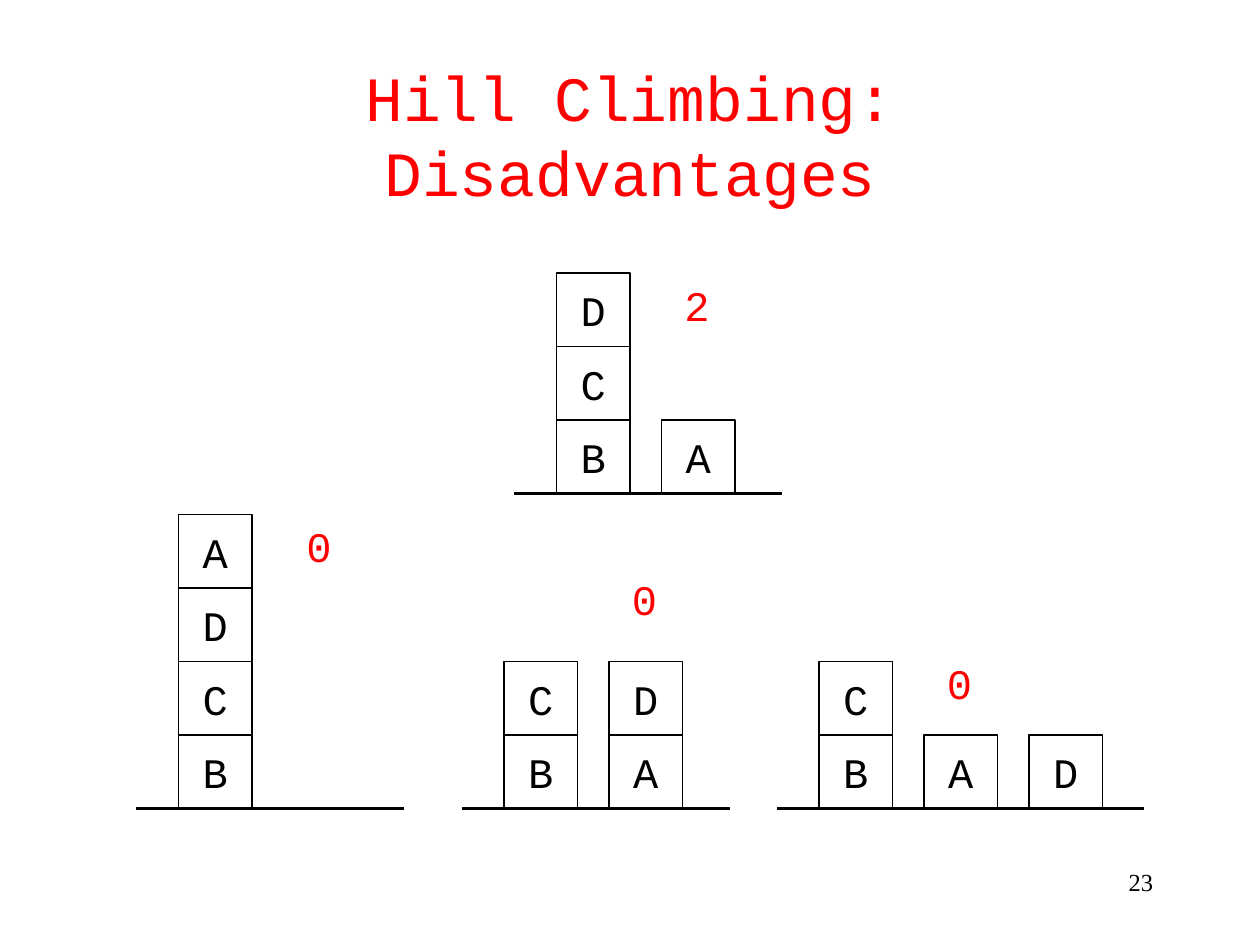
from dataclasses import dataclass

from pptx import Presentation
from pptx.enum.shapes import MSO_CONNECTOR as Link, MSO_SHAPE as Shape
from pptx.enum.text import MSO_ANCHOR as Anchor, PP_ALIGN as Align
from pptx.oxml.ns import qn
from pptx.slide import Slide
from pptx.text.text import TextFrame
from pptx.util import Inches, Pt
from pptx.dml.color import RGBColor as Rgb

HUES = {"ink": "000000", "score": "FF0000"}
MONO, SERIF = "Courier New", "Times New Roman"
COLS, ROWS = 120, 90  # slide grid, one cell is 1/12 inch
WIDE, HIGH = Inches(10), Inches(7.5)
SIDE, PITCH, EDGE = 7, 10, 4  # block side, stack step, table overhang


@dataclass
class State:
    """Stacks are read from the table up; spot is the cell of the score."""
    left: float
    base: float
    span: float
    stacks: tuple[str, ...]
    score: str
    spot: tuple[float, float]


STATES = (
    State(17, 77, 25.5, ("BCDA",), "0", (28, 49)),
    State(48, 77, 25.5, ("BC", "AD"), "0", (59, 54)),
    State(78, 77, 35, ("BC", "A", "D"), "0", (89, 62)),
    State(53, 47, 25.5, ("BCD", "A"), "2", (64, 26)),
)


def x(col: float) -> int:
    return round(WIDE * col / COLS)


def y(row: float) -> int:
    return round(HIGH * row / ROWS)


def write(frame: TextFrame, text: str, size: float, hue: str,
          face: str = MONO, align: Align = Align.LEFT, gap: float = 0) -> None:
    para = frame.paragraphs[0]
    para.alignment = align
    para.space_before = Pt(gap)
    run = para.add_run()
    run.text = text
    run.font.size, run.font.name = Pt(size), face
    run.font.color.rgb = Rgb.from_string(HUES[hue])


def frame(slide: Slide, col: float, row: float, cols: float, rows: float) -> TextFrame:
    """Add a wrapping text box and return its text frame."""
    box = slide.shapes.add_textbox(x(col), y(row), x(cols), y(rows))
    box.text_frame.word_wrap = True
    return box.text_frame


def block(slide: Slide, col: float, row: float, name: str) -> None:
    box = slide.shapes.add_shape(Shape.RECTANGLE, x(col), y(row), x(SIDE), y(SIDE))
    box.shadow.inherit = False
    box.fill.background()
    box.line.color.rgb = Rgb.from_string(HUES["ink"])
    box.line.width = Pt(1)
    box.text_frame.word_wrap = False
    box.text_frame.vertical_anchor = Anchor.MIDDLE
    write(box.text_frame, name, 24, "ink", align=Align.CENTER)


def table(slide: Slide, col: float, row: float, span: float) -> None:
    """Draw the line on which the blocks stand."""
    line = slide.shapes.add_connector(Link.STRAIGHT, x(col), y(row), x(col + span), y(row))
    line.line.color.rgb = Rgb.from_string(HUES["ink"])
    line.line.width = Pt(1.5)
    props = line._element.spPr
    props.append(props.makeelement(qn("a:effectLst"), {}))


def draw(slide: Slide, state: State) -> None:
    for i, stack in enumerate(state.stacks):
        for level, name in enumerate(stack, 1):
            block(slide, state.left + i * PITCH, state.base - level * SIDE, name)
    table(slide, state.left - EDGE, state.base, state.span)
    write(frame(slide, *state.spot, 6, 6), state.score, 24, "score", gap=15)


def main() -> None:
    deck = Presentation()
    deck.slide_width, deck.slide_height = WIDE, HIGH
    slide = deck.slides.add_slide(deck.slide_layouts[6])
    title = frame(slide, 9, 5.25, 102, 15)
    title.vertical_anchor = Anchor.MIDDLE
    write(title, "Hill Climbing: Disadvantages", 36, "score", align=Align.CENTER)
    for state in STATES:
        draw(slide, state)
    write(frame(slide, 86, 82, 25, 6), "23", 14, "ink", SERIF, Align.RIGHT)
    deck.save("out.pptx")


if __name__ == "__main__":
    main()
